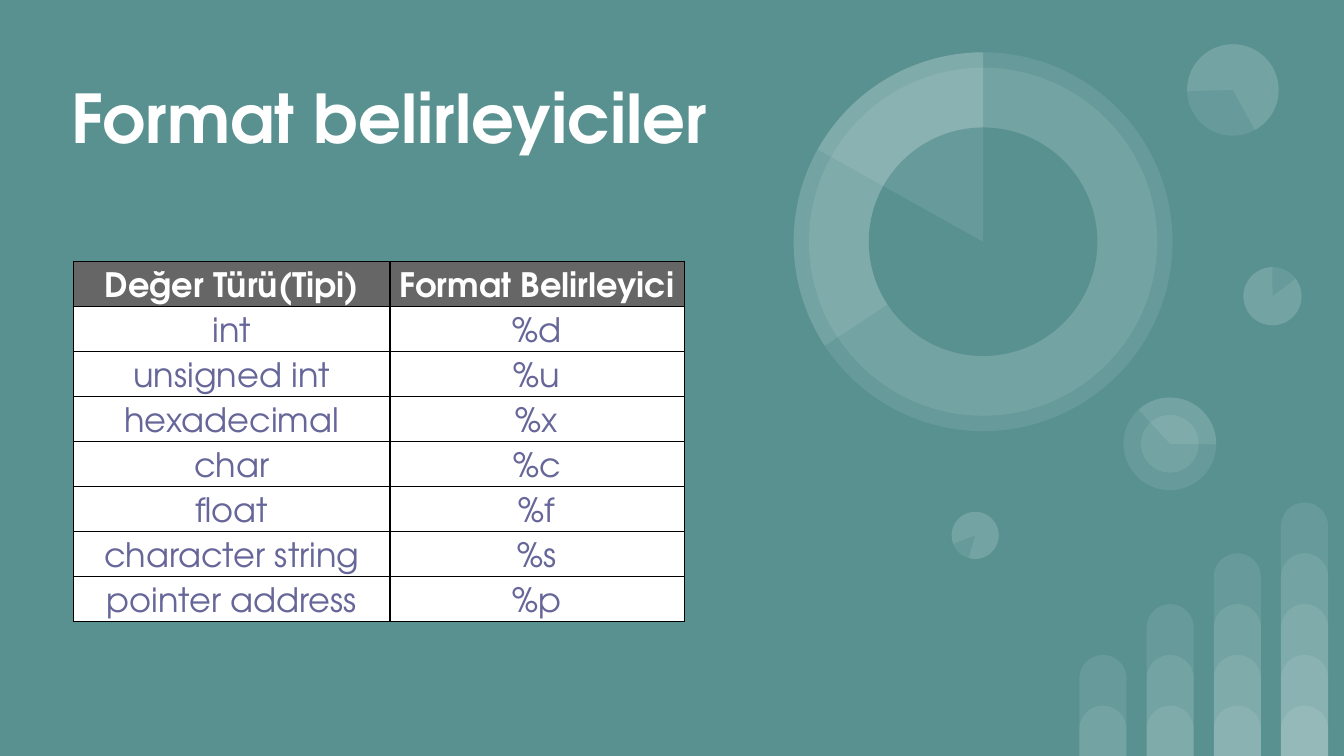
from lxml import etree
from pptx import Presentation
from pptx.dml.color import RGBColor
from pptx.enum.shapes import MSO_SHAPE
from pptx.enum.text import MSO_ANCHOR, PP_ALIGN
from pptx.oxml.ns import qn
from pptx.util import Cm, Pt

ELLIPSE = MSO_SHAPE.OVAL
PIE = MSO_SHAPE.PIE
BAR = MSO_SHAPE.ROUND_2_SAME_RECTANGLE
LEFT, CENTER = PP_ALIGN.LEFT, PP_ALIGN.CENTER
MIDDLE, BOTTOM = MSO_ANCHOR.MIDDLE, MSO_ANCHOR.BOTTOM
TITLE_ONLY = 5

FONT = "TeX Gyre Adventor"
COLORS = {
    "background": "599191",
    "white": "FFFFFF",
    "header": "666666",
    "body_text": "666699",
    "border": "000000",
}
VEIL_OPACITY = 9

ROWS = [
    ("Değer Türü(Tipi)", "Format Belirleyici"),
    ("int", "%d"),
    ("unsigned int", "%u"),
    ("hexadecimal", "%x"),
    ("char", "%c"),
    ("float", "%f"),
    ("character string", "%s"),
    ("pointer address", "%p"),
]


def rgb(name):
    return RGBColor.from_string(COLORS[name])


def style_font(font, size, color, bold):
    font.name = FONT
    font.size = Pt(size)
    font.bold = bold
    font.color.rgb = rgb(color)


def add_plain_shape(slide, kind, left, top, width, height, color="white", opacity=VEIL_OPACITY):
    shape = slide.shapes.add_shape(kind, Cm(left), Cm(top), Cm(width), Cm(height))
    shape.shadow.inherit = False
    shape.line.fill.background()
    shape.fill.solid()
    shape.fill.fore_color.rgb = rgb(color)
    if opacity < 100:
        color_element = shape.fill._xPr.find(qn("a:solidFill"))[0]
        etree.SubElement(color_element, qn("a:alpha")).set("val", str(opacity * 1000))
    return shape


def add_disc(slide, x, y, diameter, **look):
    return add_plain_shape(
        slide, ELLIPSE, x - diameter / 2, y - diameter / 2, diameter, diameter, **look
    )


def add_sector(slide, x, y, diameter, start, end, rotation=0):
    sector = add_plain_shape(
        slide, PIE, x - diameter / 2, y - diameter / 2, diameter, diameter
    )
    sector.adjustments[0] = start * 0.6
    sector.adjustments[1] = end * 0.6
    sector.rotation = rotation


def add_bars(slide, left, bottom, width):
    columns, bar_width = 4, 0.89
    pitch = (width - bar_width) / (columns - 1)
    for column in range(columns):
        for level in range(column + 2):
            height = 0.95 + 0.96 * level
            bar = add_plain_shape(
                slide, BAR, left + column * pitch, bottom - height, bar_width, height
            )
            bar.adjustments[0] = 0.5
            bar.adjustments[1] = 0


def add_dials(slide, left, top):
    small_dials = [
        (9.05, 4.78, 1.1, 322.9, 270, 0),
        (3.43, 9.3, 0.89, 322.9, 270, 196.2),
        (7.11, 7.57, 1.75, 137.4, 270.8, 90),
        (8.3, 0.88, 1.73, 322.9, 205.2, 215.9),
    ]
    for x, y, diameter, start, end, rotation in small_dials:
        add_disc(slide, left + x, top + y, diameter)
        add_sector(slide, left + x, top + y, diameter, start, end, rotation)
    add_disc(slide, left + 7.11, top + 7.57, 1.09)

    x, y, diameter = left + 3.58, top + 3.75, 7.16
    add_disc(slide, x, y, diameter)
    add_disc(slide, x, y, 6.58)
    add_sector(slide, x, y, diameter, 146.7, 270)
    add_disc(slide, x, y, 4.32, color="background", opacity=100)
    add_sector(slide, x, y, diameter, 209.2, 270)


def place_title(slide, left, top, width, height):
    title = slide.shapes.title
    title.left, title.top, title.width, title.height = map(Cm, (left, top, width, height))
    frame = title.text_frame
    frame.text = "Format belirleyiciler"
    frame.word_wrap = True
    frame.vertical_anchor = MIDDLE
    frame.margin_left = frame.margin_right = Cm(0.25)
    frame.margin_top = frame.margin_bottom = Cm(0.25)
    paragraph = frame.paragraphs[0]
    paragraph.alignment = LEFT
    style_font(paragraph.font, 36, "white", True)


def add_borders(cell):
    properties = cell._tc.get_or_add_tcPr()
    for side in ("lnL", "lnR", "lnT", "lnB"):
        line = etree.SubElement(properties, qn(f"a:{side}"), w=str(Pt(0.75)))
        fill = etree.SubElement(line, qn("a:solidFill"))
        etree.SubElement(fill, qn("a:srgbClr"), val=COLORS["border"])


def fill_cell(cell, text, is_header):
    add_borders(cell)
    cell.fill.solid()
    cell.fill.fore_color.rgb = rgb("header" if is_header else "white")
    cell.vertical_anchor = BOTTOM
    cell.margin_left = cell.margin_right = Cm(0.08)
    cell.margin_top = cell.margin_bottom = Cm(0.05)
    cell.text = text
    paragraph = cell.text_frame.paragraphs[0]
    paragraph.alignment = CENTER
    paragraph.line_spacing = 1.15
    style_font(paragraph.font, 18, "white" if is_header else "body_text", is_header)


def add_format_table(slide, left, top, column_widths, row_height):
    table = slide.shapes.add_table(
        len(ROWS), len(column_widths), Cm(left), Cm(top),
        Cm(sum(column_widths)), Cm(row_height * len(ROWS)),
    ).table
    for column, width in zip(table.columns, column_widths):
        column.width = Cm(width)
    for row_index, texts in enumerate(ROWS):
        table.rows[row_index].height = Cm(row_height)
        for column_index, text in enumerate(texts):
            fill_cell(table.cell(row_index, column_index), text, row_index == 0)


def main():
    presentation = Presentation()
    presentation.slide_width = Cm(25.4)
    presentation.slide_height = Cm(14.29)
    slide = presentation.slides.add_slide(presentation.slide_layouts[TITLE_ONLY])
    slide.background.fill.solid()
    slide.background.fill.fore_color.rgb = rgb("background")
    add_bars(slide, left=20.4, bottom=14.29, width=4.7)
    add_dials(slide, left=15, top=0.82)
    place_title(slide, left=1.1, top=1.1, width=15.04, height=2.2)
    add_format_table(slide, left=1.39, top=4.95, column_widths=(5.98, 5.56), row_height=0.85)
    presentation.save("out.pptx")


if __name__ == "__main__":
    main()
